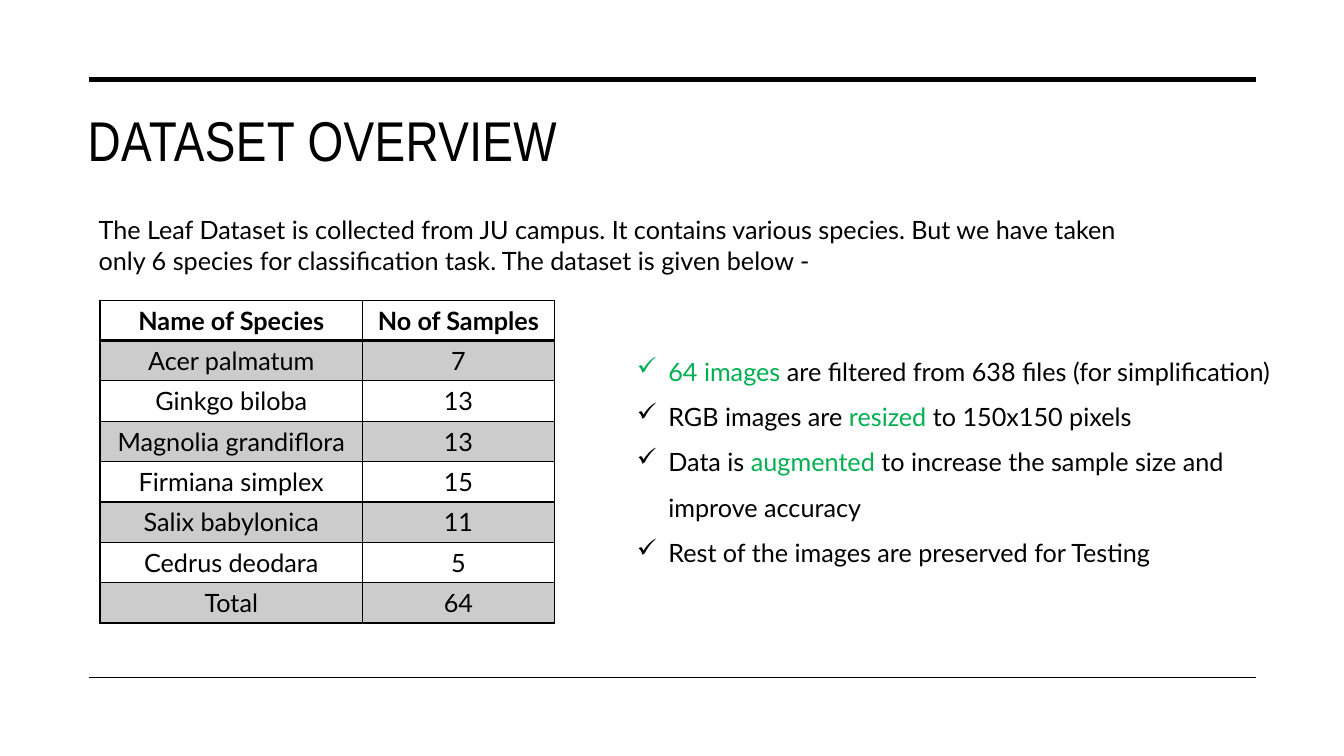
"""Build the dataset overview slide with a species table and a checklist."""
from lxml import etree
from pptx import Presentation
from pptx.dml.color import RGBColor
from pptx.enum.shapes import MSO_CONNECTOR
from pptx.enum.text import MSO_ANCHOR, MSO_AUTO_SIZE, PP_ALIGN
from pptx.oxml.ns import qn
from pptx.util import Pt

STRAIGHT = MSO_CONNECTOR.STRAIGHT
TOP, MIDDLE = MSO_ANCHOR.TOP, MSO_ANCHOR.MIDDLE
LEFT, CENTER = PP_ALIGN.LEFT, PP_ALIGN.CENTER
NO_AUTOFIT = MSO_AUTO_SIZE.NONE

COLORS = {"ink": "000000", "accent": "00B050", "band": "CCCCCC"}
TITLE = "DATASET OVERVIEW"
INTRO = ("The Leaf Dataset is collected from JU campus. It contains various species. "
         "But we have taken only 6 species for classification task. "
         "The dataset is given below -")
SPECIES = [
    ("Name of Species", "No of Samples"),
    ("Acer palmatum", "7"),
    ("Ginkgo biloba", "13"),
    ("Magnolia grandiflora", "13"),
    ("Firmiana simplex", "15"),
    ("Salix babylonica", "11"),
    ("Cedrus deodara", "5"),
    ("Total", "64"),
]
CHECKLIST = [
    [("64 images ", "accent"), ("are filtered from 638 files (for simplification)", "ink")],
    [("RGB images are ", "ink"), ("resized", "accent"), (" to 150x150 pixels", "ink")],
    [("Data is ", "ink"), ("augmented", "accent"),
     (" to increase the sample size and improve accuracy", "ink")],
    [("Rest of the images are preserved for Testing", "ink")],
]

RULES = [(56.9, 3.5), (483.8, 1)]
RULE_LEFT, RULE_RIGHT = 63.4, 897.1
TITLE_BOX = (55.4, 72, 841.7, 103)
INTRO_BOX = (63.4, 149.8, 770.4, 51.1)
CHECKLIST_BOX = (447.8, 239.8, 468.7, 167)
TABLE_LEFT, TABLE_TOP = 71.5, 214.4
COLUMN_WIDTHS = (187.5, 137)
ROW_HEIGHT = 28.8
HANGING = 22.5
BODY = {"name": "Lato", "size": Pt(18), "bold": False}
HEADER = {**BODY, "bold": True}
HEADING = {"name": "Arial Narrow", "size": Pt(40), "bold": False}
FRAME = {"word_wrap": True, "auto_size": NO_AUTOFIT, "vertical_anchor": TOP}


def rgb(color):
    return RGBColor.from_string(COLORS[color])


def assign(target, values):
    for key, value in values.items():
        setattr(target, key, value)


def write(paragraph, text, style, color="ink"):
    run = paragraph.add_run()
    run.text = text
    assign(run.font, style)
    run.font.color.rgb = rgb(color)
    return run


def text_frame(slide, box):
    frame = slide.shapes.add_textbox(*map(Pt, box)).text_frame
    assign(frame, FRAME)
    return frame


def add_rule(slide, y, weight):
    rule = slide.shapes.add_connector(
        STRAIGHT, Pt(RULE_LEFT), Pt(y), Pt(RULE_RIGHT), Pt(y))
    rule.line.color.rgb = rgb("ink")
    rule.line.width = Pt(weight)
    etree.SubElement(rule.element.spPr, qn("a:effectLst"))


def add_title(slide):
    title = slide.shapes.title
    assign(title, dict(zip(("left", "top", "width", "height"), map(Pt, TITLE_BOX))))
    assign(title.text_frame, FRAME)
    paragraph = title.text_frame.paragraphs[0]
    paragraph.alignment = LEFT
    run = write(paragraph, TITLE, HEADING)
    run.font._element.set("spc", "30")


def set_borders(cell, weights):
    properties = cell._tc.get_or_add_tcPr()
    for side, weight in weights.items():
        line = etree.SubElement(properties, qn(f"a:ln{side}"), w=str(Pt(weight)))
        fill = etree.SubElement(line, qn("a:solidFill"))
        etree.SubElement(fill, qn("a:srgbClr"), val=COLORS["ink"])


def add_species_table(slide):
    table = slide.shapes.add_table(
        len(SPECIES), len(COLUMN_WIDTHS), Pt(TABLE_LEFT), Pt(TABLE_TOP),
        Pt(sum(COLUMN_WIDTHS)), Pt(ROW_HEIGHT * len(SPECIES))).table
    for column, width in zip(table.columns, COLUMN_WIDTHS):
        column.width = Pt(width)
    for row, values in enumerate(SPECIES):
        table.rows[row].height = Pt(ROW_HEIGHT)
        for column, value in enumerate(values):
            cell = table.cell(row, column)
            cell.vertical_anchor = MIDDLE
            paragraph = cell.text_frame.paragraphs[0]
            paragraph.alignment = CENTER
            write(paragraph, value, BODY if row else HEADER)
            set_borders(cell, {"L": 1, "R": 1, "T": 2 if row == 1 else 1,
                               "B": 1 if row else 2})
            if row % 2:
                cell.fill.solid()
                cell.fill.fore_color.rgb = rgb("band")
            else:
                cell.fill.background()


def add_checklist(slide):
    frame = text_frame(slide, CHECKLIST_BOX)
    for index, parts in enumerate(CHECKLIST):
        paragraph = frame.add_paragraph() if index else frame.paragraphs[0]
        paragraph.line_spacing = 1.5
        properties = paragraph._p.get_or_add_pPr()
        properties.set("marL", str(Pt(HANGING)))
        properties.set("indent", str(-Pt(HANGING)))
        etree.SubElement(properties, qn("a:buChar"), char="✓")
        for text, color in parts:
            write(paragraph, text, BODY, color)


def main():
    deck = Presentation()
    deck.slide_width, deck.slide_height = Pt(960), Pt(540)
    slide = deck.slides.add_slide(deck.slide_layouts[5])
    for y, weight in RULES:
        add_rule(slide, y, weight)
    add_title(slide)
    write(text_frame(slide, INTRO_BOX).paragraphs[0], INTRO, BODY)
    add_species_table(slide)
    add_checklist(slide)
    deck.save("out.pptx")


if __name__ == "__main__":
    main()
